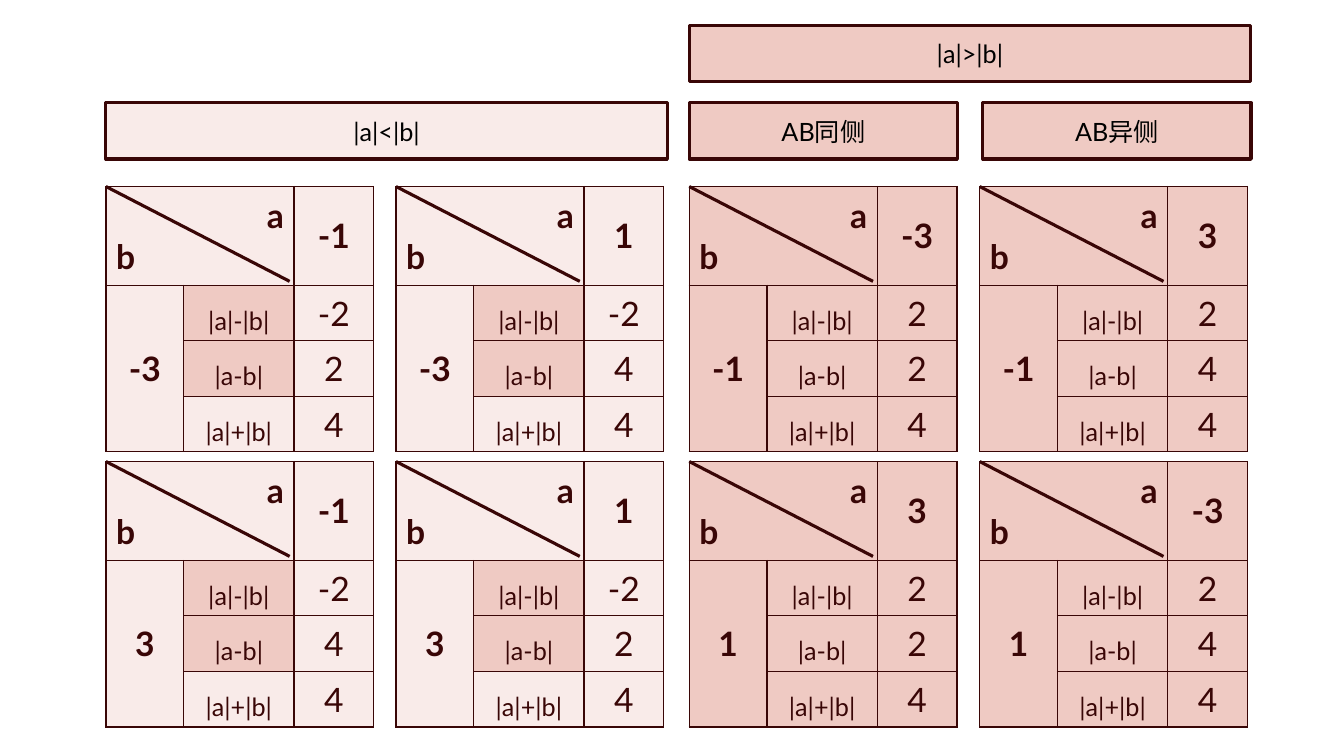
"""Builds a slide of tables that compare |a|-|b|, |a-b| and |a|+|b|."""
from lxml import etree
from pptx import Presentation
from pptx import util as u
from pptx.dml.color import RGBColor
from pptx.enum import shapes, text
from pptx.oxml.ns import qn

COLORS = {"ink": "390606", "label": "000000", "pale": "F9EBE9", "rose": "EFCAC3"}
FONT = "Lato"

BANNERS = [
    ("|a|<|b|", 2.67, 2.59, 14.15, "pale"),
    ("|a|>|b|", 17.37, 0.64, 14.15, "rose"),
    ("AB同侧", 17.37, 2.59, 6.76, "rose"),
    ("AB异侧", 24.77, 2.59, 6.76, "rose"),
]
BANNER_HEIGHT = 1.42

CASES = [
    [(-1, -3), (1, -3), (-3, -1), (3, -1)],
    [(-1, 3), (1, 3), (3, 1), (-3, 1)],
]
CASE_LEFTS = [2.67, 9.98, 17.37, 24.69]
CASE_TOPS = [4.7, 11.63]
COLUMN_WIDTHS = [1.96, 2.78, 2.01]
ROW_HEIGHTS = [2.49, 1.4, 1.4, 1.4]
DIAGONAL = (4.63, 2.39)


def rgb(name):
    return RGBColor.from_string(COLORS[name])


def style(paragraph, size, bold=False, align="CENTER", color="ink"):
    paragraph.alignment = getattr(text.PP_ALIGN, align)
    font = paragraph.font
    font.name, font.size, font.bold = FONT, u.Pt(size), bold
    font.color.rgb = rgb(color)


def paint_cell(cell, fill):
    cell.fill.solid()
    cell.fill.fore_color.rgb = rgb(fill)
    cell.vertical_anchor = text.MSO_ANCHOR.MIDDLE
    properties = cell._tc.get_or_add_tcPr()
    for position, side in enumerate(("lnL", "lnR", "lnT", "lnB")):
        border = etree.Element(qn(f"a:{side}"), w=str(u.Pt(1)))
        solid = etree.SubElement(border, qn("a:solidFill"))
        etree.SubElement(solid, qn("a:srgbClr"), val=COLORS["ink"])
        properties.insert(position, border)


def write_cell(cell, words, size=24, bold=False):
    cell.text = str(words)
    paragraph = cell.text_frame.paragraphs[0]
    style(paragraph, size, bold)
    return paragraph


def add_banner(slide, words, left, top, width, fill):
    banner = slide.shapes.add_shape(
        shapes.MSO_SHAPE.RECTANGLE, u.Cm(left), u.Cm(top), u.Cm(width), u.Cm(BANNER_HEIGHT))
    banner.shadow.inherit = False
    banner.fill.solid()
    banner.fill.fore_color.rgb = rgb(fill)
    banner.line.color.rgb = rgb("ink")
    banner.line.width = u.Pt(2.25)
    banner.text_frame.text = words
    banner.text_frame.vertical_anchor = text.MSO_ANCHOR.MIDDLE
    style(banner.text_frame.paragraphs[0], 18, color="label")


def add_case(slide, a, b, left, top):
    base = "pale" if abs(a) < abs(b) else "rose"
    results = [
        ("|a|-|b|", abs(a) - abs(b), "rose"),
        ("|a-b|", abs(a - b), "rose"),
        ("|a|+|b|", abs(a) + abs(b), base),
    ]
    grid = slide.shapes.add_table(
        len(ROW_HEIGHTS), len(COLUMN_WIDTHS), u.Cm(left), u.Cm(top),
        u.Cm(sum(COLUMN_WIDTHS)), u.Cm(sum(ROW_HEIGHTS))).table
    for column, width in zip(grid.columns, COLUMN_WIDTHS):
        column.width = u.Cm(width)
    for row, height in zip(grid.rows, ROW_HEIGHTS):
        row.height = u.Cm(height)
    for cell in grid.iter_cells():
        paint_cell(cell, base)

    corner = grid.cell(0, 0)
    corner.merge(grid.cell(0, 1))
    corner.text = "a\nb"
    for paragraph, align in zip(corner.text_frame.paragraphs, ("RIGHT", "LEFT")):
        style(paragraph, 24, True, align)
    grid.cell(1, 0).merge(grid.cell(3, 0))
    write_cell(grid.cell(0, 2), a, bold=True)
    write_cell(grid.cell(1, 0), b, bold=True)
    for row, (formula, value, fill) in enumerate(results, 1):
        formula_cell = grid.cell(row, 1)
        formula_cell.fill.fore_color.rgb = rgb(fill)
        write_cell(formula_cell, formula, 18).line_spacing = 1.5
        write_cell(grid.cell(row, 2), value)

    width, height = DIAGONAL
    diagonal = slide.shapes.add_connector(
        shapes.MSO_CONNECTOR.STRAIGHT, u.Cm(left), u.Cm(top),
        u.Cm(left + width), u.Cm(top + height))
    diagonal.line.color.rgb = rgb("ink")
    diagonal.line.width = u.Pt(2.25)
    etree.SubElement(diagonal._element.spPr, qn("a:effectLst"))


def main():
    deck = Presentation()
    deck.slide_width, deck.slide_height = u.Cm(33.87), u.Cm(19.05)
    slide = deck.slides.add_slide(deck.slide_layouts[6])
    for top, cases in zip(CASE_TOPS, CASES):
        for left, (a, b) in zip(CASE_LEFTS, cases):
            add_case(slide, a, b, left, top)
    for banner in BANNERS:
        add_banner(slide, *banner)
    deck.save("out.pptx")


if __name__ == "__main__":
    main()
